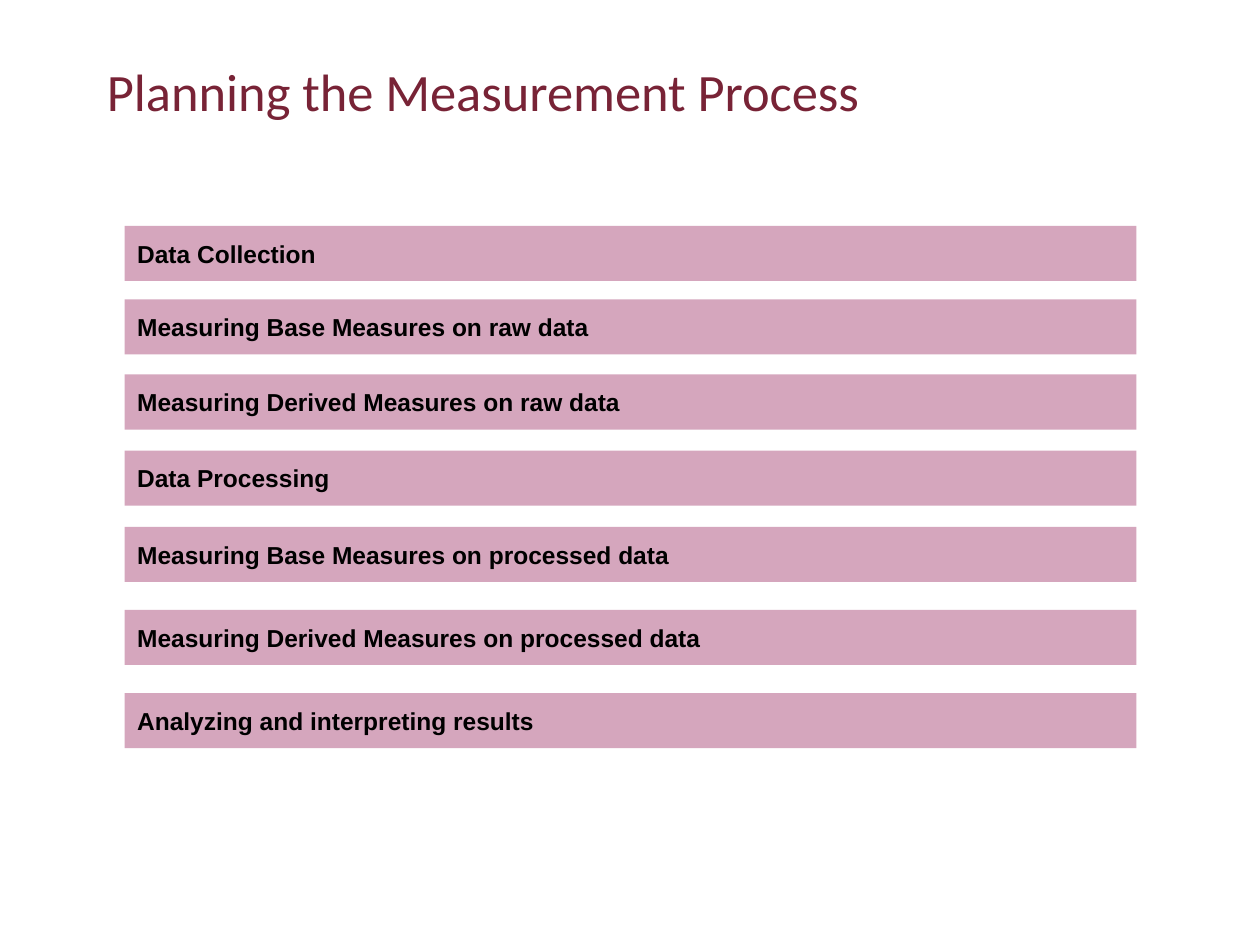
"""Build the slide that lists the steps of planning the measurement process."""
from dataclasses import dataclass
from itertools import accumulate

from pptx import Presentation
from pptx.dml.color import RGBColor as Rgb
from pptx.enum.shapes import MSO_SHAPE as ShapeKind
from pptx.enum.text import MSO_ANCHOR as Anchor, MSO_AUTO_SIZE as AutoSize, PP_ALIGN as Align
from pptx.shapes.autoshape import Shape
from pptx.slide import Slide
from pptx.util import Pt

COLORS = {"title": "782336", "bar": "D5A6BD", "text": "000000"}
TITLE_FONT = {"name": "Calibri", "size": Pt(30), "bold": False}
BAR_FONT = {"name": "Arial", "size": Pt(14), "bold": True}
TITLE_FRAME = {
    "word_wrap": True, "auto_size": AutoSize.NONE, "vertical_anchor": Anchor.TOP,
    "margin_left": Pt(7.2), "margin_right": Pt(7.2),
    "margin_top": Pt(3.6), "margin_bottom": Pt(3.6),
}
BAR_FRAME = TITLE_FRAME | {
    "auto_size": AutoSize.SHAPE_TO_FIT_TEXT, "vertical_anchor": Anchor.MIDDLE,
    "margin_top": Pt(7.2), "margin_bottom": Pt(7.2),
}
BAR_LEFT, BAR_WIDTH, BAR_HEIGHT = 71.28, 578.16, 31.5
FIRST_BAR_TOP = 129
BAR_STEPS = [42, 43, 43.5, 43.5, 47.5, 47.5]
BAR_LABELS = [
    "Data Collection",
    "Measuring Base Measures on raw data",
    "Measuring Derived Measures on raw data",
    "Data Processing",
    "Measuring Base Measures on processed data",
    "Measuring Derived Measures on processed data",
    "Analyzing and interpreting results",
]


@dataclass(frozen=True)
class StepBar:
    label: str
    top: float


def set_attributes(target: object, values: dict) -> None:
    for name, value in values.items():
        setattr(target, name, value)


def write_text(shape: Shape, text: str, frame: dict, font: dict, color: str) -> None:
    set_attributes(shape.text_frame, frame)
    paragraph = shape.text_frame.paragraphs[0]
    paragraph.alignment = Align.LEFT
    run = paragraph.add_run()
    run.text = text
    set_attributes(run.font, font)
    run.font.color.rgb = Rgb.from_string(COLORS[color])


def draw_title(slide: Slide, text: str) -> None:
    shape = slide.shapes.add_textbox(Pt(54), Pt(30.24), Pt(612), Pt(55.44))
    write_text(shape, text, TITLE_FRAME, TITLE_FONT, "title")


def draw_bar(slide: Slide, bar: StepBar) -> None:
    shape = slide.shapes.add_shape(
        ShapeKind.RECTANGLE, Pt(BAR_LEFT), Pt(bar.top), Pt(BAR_WIDTH), Pt(BAR_HEIGHT)
    )
    shape.shadow.inherit = False
    shape.fill.solid()
    shape.fill.fore_color.rgb = Rgb.from_string(COLORS["bar"])
    shape.line.fill.background()
    write_text(shape, bar.label, BAR_FRAME, BAR_FONT, "text")


def main() -> None:
    presentation = Presentation()
    presentation.slide_width, presentation.slide_height = Pt(720), Pt(540)
    slide = presentation.slides.add_slide(presentation.slide_layouts[6])
    draw_title(slide, "Planning the Measurement Process")
    bar_tops = accumulate(BAR_STEPS, initial=FIRST_BAR_TOP)
    for label, top in zip(BAR_LABELS, bar_tops):
        draw_bar(slide, StepBar(label, top))
    presentation.save("out.pptx")


main()
